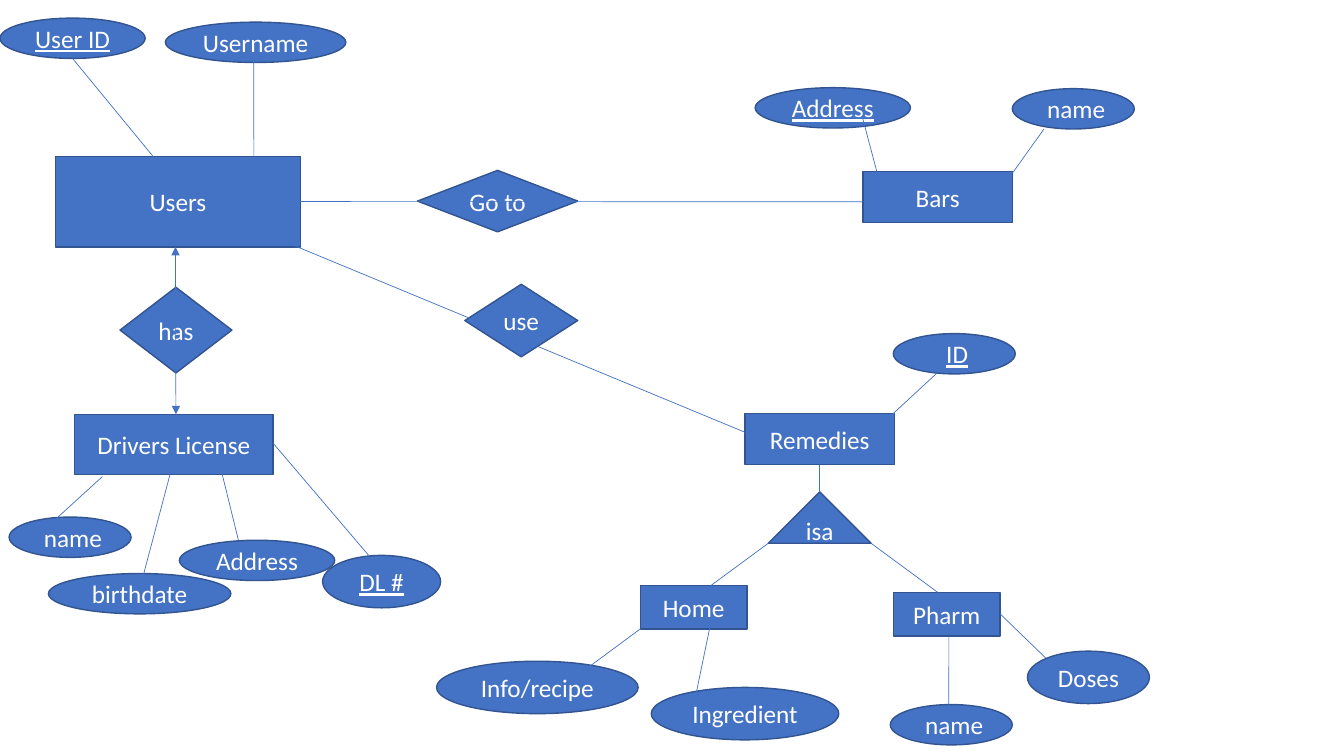
from lxml import etree
from pptx import Presentation
from pptx.dml.color import RGBColor
from pptx.enum.shapes import MSO_CONNECTOR, MSO_SHAPE
from pptx.enum.text import MSO_ANCHOR, PP_ALIGN
from pptx.oxml.ns import qn
from pptx.util import Inches, Pt

ENTITY, ATTRIBUTE = MSO_SHAPE.RECTANGLE, MSO_SHAPE.OVAL
RELATION, SUBTYPE = MSO_SHAPE.DIAMOND, MSO_SHAPE.ISOSCELES_TRIANGLE
STRAIGHT = MSO_CONNECTOR.STRAIGHT
CENTER, MIDDLE = PP_ALIGN.CENTER, MSO_ANCHOR.MIDDLE

FILL, OUTLINE, TEXT = "4472C4", "325491", "FFFFFF"
FONT, TEXT_SIZE = "Calibri", 18

# Nodes: label, kind, (left, top, width, height) in inches
NODES = {
    "users": ("Users", ENTITY, (0.55, 1.55, 2.43, 0.9)),
    "user id": ("User ID", ATTRIBUTE, (0, 0.18, 1.44, 0.4)),
    "username": ("Username", ATTRIBUTE, (1.64, 0.22, 1.79, 0.4)),
    "has": ("has", RELATION, (1.19, 2.85, 1.11, 0.85)),
    "license": ("Drivers License", ENTITY, (0.74, 4.11, 1.97, 0.6)),
    "license name": (" name", ATTRIBUTE, (0.09, 5.13, 1.21, 0.4)),
    "birthdate": ("birthdate", ATTRIBUTE, (0.48, 5.69, 1.81, 0.4)),
    "license address": ("Address", ATTRIBUTE, (1.78, 5.36, 1.54, 0.4)),
    "license number": ("DL #", ATTRIBUTE, (3.2, 5.51, 1.17, 0.52)),
    "go to": ("Go to", RELATION, (4.14, 1.69, 1.59, 0.61)),
    "bars": ("Bars", ENTITY, (8.56, 1.7, 1.48, 0.51)),
    "bar address": ("Address", ATTRIBUTE, (7.49, 0.87, 1.54, 0.4)),
    "bar name": (" name", ATTRIBUTE, (10.04, 0.88, 1.21, 0.4)),
    "use": ("use", RELATION, (4.61, 2.82, 1.12, 0.72)),
    "remedies": ("Remedies", ENTITY, (7.39, 4.1, 1.48, 0.51)),
    "remedy id": (" ID", ATTRIBUTE, (8.86, 3.31, 1.21, 0.4)),
    "isa": ("isa", SUBTYPE, (7.62, 4.88, 1.02, 0.51)),
    "home": ("Home", ENTITY, (6.35, 5.81, 1.06, 0.43)),
    "pharm": ("Pharm", ENTITY, (8.86, 5.88, 1.06, 0.43)),
    "recipe": ("Info/recipe", ATTRIBUTE, (4.33, 6.56, 2, 0.52)),
    "ingredient": ("Ingredient", ATTRIBUTE, (6.46, 6.82, 1.86, 0.52)),
    "doses": ("Doses", ATTRIBUTE, (10.19, 6.46, 1.21, 0.52)),
    "pharm name": (" name", ATTRIBUTE, (8.83, 6.99, 1.21, 0.4)),
}
KEYS = {"user id", "license number", "bar address", "remedy id"}

# Links: each end is a node and the shares of its width and height
LINKS = [
    (("users", 0.41, 0.04), ("user id", 0.5, 1)),
    (("users", 0.81, 0.16), ("username", 0.49, 0.9)),
    (("users", 0.49, 1), ("license", 0.51, 0)),
    (("license", 0.14, 1.03), ("license name", 0.39, 0.03)),
    (("license", 0.48, 1), ("birthdate", 0.52, 0.05)),
    (("license", 0.74, 0.95), ("license address", 0.38, 0)),
    (("license", 1, 0.48), ("license number", 0.39, 0)),
    (("users", 1, 0.5), ("bars", 0, 0.59)),
    (("bars", 0.11, 0.2), ("bar address", 0.69, 0.72)),
    (("bars", 1, 0.04), ("bar name", 0.26, 1)),
    (("users", 0.97, 0.98), ("remedies", 0, 0.37)),
    (("remedies", 0.98, 0.04), ("remedy id", 0.35, 1)),
    (("remedies", 0.5, 1), ("isa", 0.5, 0)),
    (("isa", 0, 1), ("home", 0.66, 0)),
    (("isa", 1, 1), ("pharm", 0.42, 0)),
    (("home", 0, 1), ("recipe", 0.72, 0.21)),
    (("home", 0.66, 0.86), ("ingredient", 0.23, 0.27)),
    (("pharm", 1, 0.49), ("doses", 0.15, 0.13)),
    (("pharm", 0.52, 1), ("pharm name", 0.48, 0.1)),
]
ONE_TO_ONE = {("users", "license")}


def color(hex_text):
    return RGBColor.from_string(hex_text)


def add_node(page, label, kind, place, is_key):
    shape = page.shapes.add_shape(kind, *map(Inches, place))
    shape.shadow.inherit = False
    shape.fill.solid()
    shape.fill.fore_color.rgb = color(FILL)
    shape.line.color.rgb = color(OUTLINE)
    shape.line.width = Pt(1)
    shape.text_frame.vertical_anchor = MIDDLE
    para = shape.text_frame.paragraphs[0]
    para.alignment = CENTER
    # A leading space stays outside the underline of a key
    word = label.lstrip()
    for part in (label[:-len(word)], word):
        if part:
            span = para.add_run()
            span.text = part
            span.font.name, span.font.size = FONT, Pt(TEXT_SIZE)
            span.font.color.rgb = color(TEXT)
            if is_key and part == word:
                span.font.underline = True


def anchor(name, across, down):
    left, top, width, height = NODES[name][2]
    return Inches(left + across * width), Inches(top + down * height)


def add_link(page, start, end):
    link = page.shapes.add_connector(STRAIGHT, *anchor(*start), *anchor(*end))
    link.line.color.rgb = color(FILL)
    link.line.width = Pt(0.5)
    if (start[0], end[0]) in ONE_TO_ONE:
        line = link.line._get_or_add_ln()
        for tag in ("a:headEnd", "a:tailEnd"):
            etree.SubElement(line, qn(tag), type="triangle")
    etree.SubElement(link._element.spPr, qn("a:effectLst"))


deck = Presentation()
deck.slide_width, deck.slide_height = Inches(13.33), Inches(7.5)
page = deck.slides.add_slide(deck.slide_layouts[6])

# Nodes first, so that the links run over the relations
for name, node in NODES.items():
    add_node(page, *node, name in KEYS)
for start, end in LINKS:
    add_link(page, start, end)

deck.save("out.pptx")
